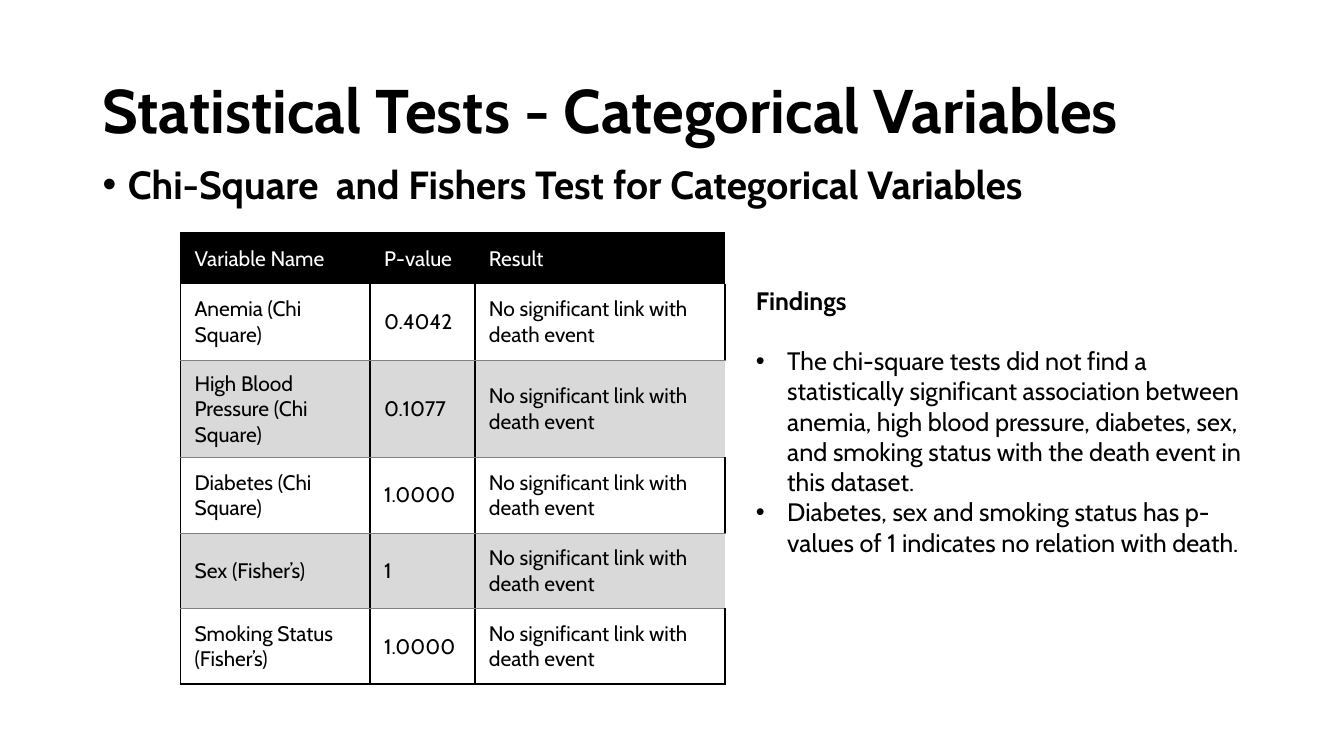
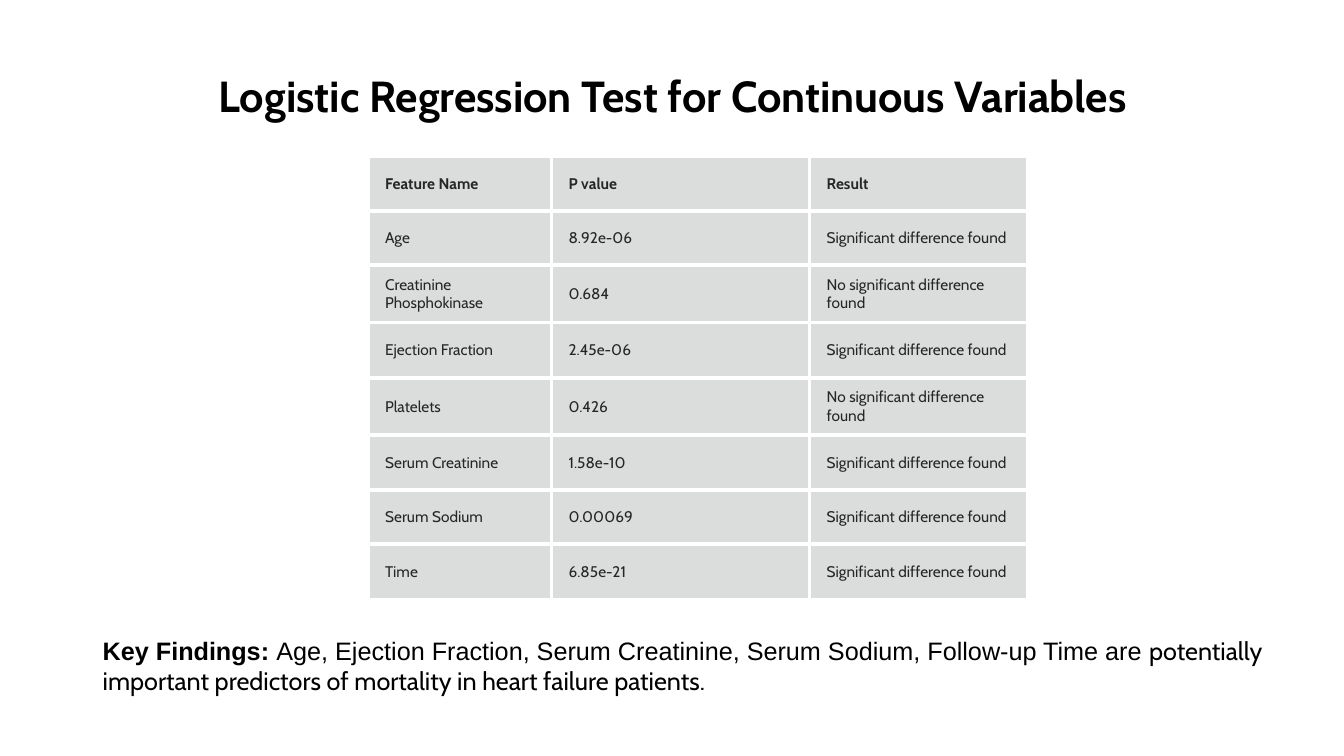
from lxml import etree
from pptx import Presentation
from pptx import util as u
from pptx.dml.color import RGBColor
from pptx.enum import text
from pptx.oxml import ns

# Shared look
PX = 9144  # 100 px to the inch
FONT, BLACK, WHITE, INK = "Cabin", "000000", "FFFFFF", "262626"
BAND, RULE, CELL = "D9D9D9", "808080", "DBDDDC"
PLAIN_TABLE = "{2D5ABB26-0587-4C30-8999-92F81FD0307C}"

# Content
NO_LINK = "No significant link with death event"
FOUND, NOT_FOUND = "Significant difference found", "No significant difference found"

CATEGORICAL = dict(
    title="Statistical Tests - Categorical Variables",
    subtitle="Chi-Square  and Fishers Test for Categorical Variables",
    rows=[
        ("Variable Name", "P-value", "Result"),
        ("Anemia (Chi Square)", "0.4042", NO_LINK),
        ("High Blood Pressure (Chi Square)", "0.1077", NO_LINK),
        ("Diabetes (Chi Square)", "1.0000", NO_LINK),
        ("Sex (Fisher’s)", "1", NO_LINK),
        ("Smoking Status (Fisher’s)", "1.0000", NO_LINK),
    ],
    findings=[
        "The chi-square tests did not find a statistically significant association between "
        "anemia, high blood pressure, diabetes, sex, and smoking status with the death event "
        "in this dataset.",
        "Diabetes, sex and smoking status has p-values of 1 indicates no relation with death.",
    ],
)
CONTINUOUS = dict(
    title="Logistic Regression Test for Continuous Variables",
    rows=[
        ("Feature Name", "P value", "Result"),
        ("Age", "8.92e-06", FOUND),
        ("Creatinine Phosphokinase", "0.684", NOT_FOUND),
        ("Ejection Fraction", "2.45e-06", FOUND),
        ("Platelets", "0.426", NOT_FOUND),
        ("Serum Creatinine", "1.58e-10", FOUND),
        ("Serum Sodium", "0.00069", FOUND),
        ("Time", "6.85e-21", FOUND),
    ],
    key_findings=[
        ("Key Findings: ", "Arial", True),
        ("Age, Ejection Fraction, Serum Creatinine, Serum Sodium, Follow-up Time are ",
         "Arial", False),
        ("potentially important predictors of mortality in heart failure patients.",
         FONT, False),
    ],
)


def rgb(value):
    return RGBColor.from_string(value)


# Text
def add_run(paragraph, words, size, bold=False, color=BLACK, font=FONT):
    run = paragraph.add_run()
    run.text = words
    run.font.name, run.font.size, run.font.bold = font, u.Pt(size), bold
    run.font.color.rgb = rgb(color)


def add_box(slide, left, top, width, height, anchor=text.MSO_ANCHOR.TOP):
    box = slide.shapes.add_textbox(left * PX, top * PX, width * PX, height * PX)
    frame = box.text_frame
    frame.word_wrap, frame.vertical_anchor = True, anchor
    return frame


def add_title(slide, words, top, size, align=text.PP_ALIGN.LEFT):
    paragraph = add_box(slide, 92, top, 1150, 145, text.MSO_ANCHOR.MIDDLE).paragraphs[0]
    paragraph.alignment, paragraph.line_spacing = align, 0.9
    add_run(paragraph, words, size, bold=True)


def set_bullet(paragraph, indent):
    properties = paragraph._p.get_or_add_pPr()
    properties.set("marL", str(indent * PX))
    properties.set("indent", str(-indent * PX))
    etree.SubElement(properties, ns.qn("a:buFont")).set("typeface", "Arial")
    etree.SubElement(properties, ns.qn("a:buChar")).set("char", "•")


# Tables
def set_borders(cell, borders):
    properties = cell._tc.get_or_add_tcPr()
    for side in "LRTB":
        if side in borders:
            color, points = borders[side]
            line = etree.SubElement(properties, ns.qn("a:ln" + side), w=str(u.Pt(points)))
            fill = etree.SubElement(line, ns.qn("a:solidFill"))
            etree.SubElement(fill, ns.qn("a:srgbClr"), val=color)


def add_table(slide, left, top, widths, heights, rows, size, insets, style):
    """style(row, column) gives the fill, text colour, bold flag and borders of a cell."""
    table = slide.shapes.add_table(len(rows), len(widths), left * PX, top * PX,
                                   sum(widths) * PX, sum(heights) * PX).table
    table._tbl.tblPr.find(ns.qn("a:tableStyleId")).text = PLAIN_TABLE
    for column, width in zip(table.columns, widths):
        column.width = width * PX
    for r, (height, values) in enumerate(zip(heights, rows)):
        table.rows[r].height = height * PX
        for c, value in enumerate(values):
            cell = table.cell(r, c)
            fill, color, bold, borders = style(r, c)
            cell.margin_left = insets[0] * PX
            cell.margin_right = cell.margin_top = cell.margin_bottom = insets[1] * PX
            cell.vertical_anchor = text.MSO_ANCHOR.MIDDLE
            set_borders(cell, borders)
            if fill:
                cell.fill.solid()
                cell.fill.fore_color.rgb = rgb(fill)
            else:
                cell.fill.background()
            add_run(cell.text_frame.paragraphs[0], value, size, bold, color)


def categorical_style(row, column):
    thick, thin = (BLACK, 1.5), (RULE, 0.5)
    last_row, last_column = len(CATEGORICAL["rows"]) - 1, 2
    if row == 0:
        return BLACK, WHITE, False, dict(T=thick, **({"L": thick} if column == 0 else {}))
    if row % 2 == 0:
        borders = dict(L=thick, T=thin)
        if column < last_column:
            borders["R"] = thick
        return BAND, BLACK, False, borders
    bottom = thick if row == last_row else thin
    return None, BLACK, False, dict(L=thick, R=thick, B=bottom)


def continuous_style(row, column):
    return CELL, INK, row == 0, dict.fromkeys("LRTB", (WHITE, 3))


# Slides
def build_categorical(slide):
    add_title(slide, CATEGORICAL["title"], 40, 44)
    subtitle = add_box(slide, 92, 159, 1150, 75).paragraphs[0]
    set_bullet(subtitle, 25)
    subtitle.line_spacing = 0.9
    add_run(subtitle, CATEGORICAL["subtitle"], 28, bold=True)
    add_table(slide, 179, 231, [188, 104, 248], [51, 75, 97, 75, 75, 75],
              CATEGORICAL["rows"], 15, (14, 11), categorical_style)
    frame = add_box(slide, 740, 278, 514, 343)
    add_run(frame.paragraphs[0], "Findings", 18, bold=True)
    for number, finding in enumerate(CATEGORICAL["findings"]):
        paragraph = frame.add_paragraph()
        set_bullet(paragraph, 31)
        paragraph.space_before = u.Pt(0 if number else 21.5)
        add_run(paragraph, finding, 18)


def build_continuous(slide):
    add_title(slide, CONTINUOUS["title"], 25, 31, text.PP_ALIGN.CENTER)
    add_table(slide, 365, 155, [182, 256, 217], [54, 54, 57, 55, 57, 54, 54, 55],
              CONTINUOUS["rows"], 11, (17, 10), continuous_style)
    paragraph = add_box(slide, 92, 625, 1202, 101).paragraphs[0]
    for words, font, bold in CONTINUOUS["key_findings"]:
        add_run(paragraph, words, 18, bold, font=font)


def main():
    presentation = Presentation()
    presentation.slide_width, presentation.slide_height = u.Inches(13.33), u.Inches(7.5)
    for build in (build_categorical, build_continuous):
        build(presentation.slides.add_slide(presentation.slide_layouts[6]))
    presentation.save("out.pptx")


if __name__ == "__main__":
    main()
